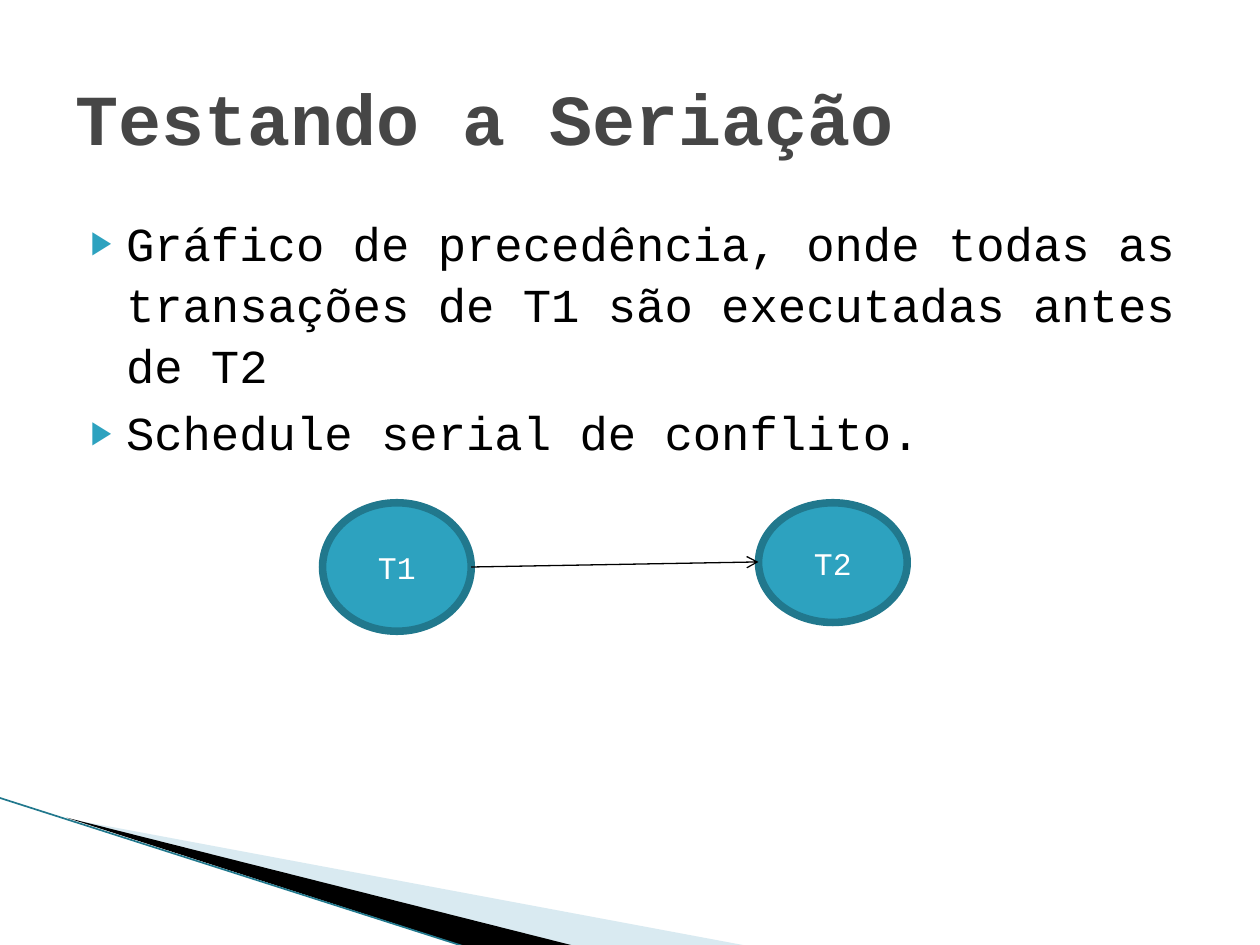
import pptx
import pptx.dml.color
import pptx.enum.shapes
import pptx.enum.text
import pptx.oxml
import pptx.oxml.ns
import pptx.util
from pptx.util import Inches

FONT = "Courier New"
COLORS = {
    "title": "464646",
    "text": "000000",
    "node": "2DA2BF",
    "edge": "21788D",
    "node_text": "FFFFFF",
    "pale": "A0CBDC",
    "black": "000000",
}
BULLETS = [
    "Gráfico de precedência, onde todas as transações de T1 são executadas antes de T2",
    "Schedule serial de conflito.",
]
MIDDLE = pptx.enum.text.MSO_ANCHOR.MIDDLE


def rgb(name):
    return pptx.dml.color.RGBColor.from_string(COLORS[name])


def make_element(tag, **attributes):
    element = pptx.oxml.parse_xml(f"<{tag} {pptx.oxml.ns.nsdecls('a')}/>")
    for key, value in attributes.items():
        element.set(key, str(value))
    return element


def add_span(para, text, size, color, bold=False):
    span = para.add_run()
    span.text = text
    span.font.name = FONT
    span.font.size = pptx.util.Pt(size)
    span.font.bold = bold
    span.font.color.rgb = rgb(color)


def place(box, left, top, width, height):
    box.left, box.top = Inches(left), Inches(top)
    box.width, box.height = Inches(width), Inches(height)


def add_wedge(page, points, color, opacity=None):
    start, *others = [(Inches(x), Inches(y)) for x, y in points]
    builder = page.shapes.build_freeform(*start)
    builder.add_line_segments(others, close=True)
    wedge = builder.convert_to_shape()
    wedge.shadow.inherit = False
    wedge.line.fill.background()
    wedge.fill.solid()
    wedge.fill.fore_color.rgb = rgb(color)
    if opacity is not None:
        fill_color = wedge._element.spPr.find(".//" + pptx.oxml.ns.qn("a:srgbClr"))
        fill_color.append(make_element("a:alpha", val=opacity * 1000))


def add_line(page, start, end, color, width, arrow=False):
    line = page.shapes.add_connector(
        pptx.enum.shapes.MSO_CONNECTOR.STRAIGHT, *map(Inches, start + end))
    line.line.color.rgb = rgb(color)
    line.line.width = pptx.util.Pt(width)
    if arrow:
        line.line._get_or_add_ln().append(make_element("a:tailEnd", type="arrow"))
    line._element.spPr.append(make_element("a:effectLst"))


def add_node(page, label, left, top, width, height):
    node = page.shapes.add_shape(
        pptx.enum.shapes.MSO_SHAPE.OVAL, *map(Inches, (left, top, width, height)))
    node.shadow.inherit = False
    node.fill.solid()
    node.fill.fore_color.rgb = rgb("node")
    node.line.color.rgb = rgb("edge")
    node.line.width = pptx.util.Pt(4.33)
    node.text_frame.vertical_anchor = MIDDLE
    para = node.text_frame.paragraphs[0]
    para.alignment = pptx.enum.text.PP_ALIGN.CENTER
    add_span(para, label, 18, "node_text")


def fill_title(title, text):
    place(title, 0.5, 0.3, 9, 1.25)
    title.text_frame.vertical_anchor = MIDDLE
    para = title.text_frame.paragraphs[0]
    para.alignment = pptx.enum.text.PP_ALIGN.LEFT
    add_span(para, text, 41, "title", bold=True)


def add_bullet(para):
    properties = para._p.get_or_add_pPr()
    properties.set("marL", str(Inches(0.4)))
    properties.set("indent", str(Inches(-0.28)))
    bullet_color = make_element("a:buClr")
    bullet_color.append(make_element("a:srgbClr", val=COLORS["node"]))
    properties.append(bullet_color)
    properties.append(make_element("a:buSzPct", val=68000))
    properties.append(make_element("a:buChar", char="▶"))


def fill_list(body, items):
    place(body, 0.5, 1.62, 9, 4.95)
    frame = body.text_frame
    frame.auto_size = pptx.enum.text.MSO_AUTO_SIZE.NONE
    for index, item in enumerate(items):
        para = frame.add_paragraph() if index else frame.paragraphs[0]
        para.line_spacing = 1.07
        para.space_before = pptx.util.Pt(4)
        add_bullet(para)
        add_span(para, item, 27, "text")


def main():
    deck = pptx.Presentation()
    deck.slide_width, deck.slide_height = Inches(10), Inches(7.5)
    page = deck.slides.add_slide(deck.slide_layouts[1])

    add_wedge(page, [(0.55, 6.5), (5.95, 7.51), (4.56, 7.51)], "pale", opacity=40)
    add_wedge(page, [(0.53, 6.49), (4.57, 7.51), (3.72, 7.52)], "black")
    add_line(page, (-0.01, 6.33), (3.71, 7.52), "edge", 0.95)

    fill_list(page.placeholders[1], BULLETS)
    fill_title(page.shapes.title, "Testando a Seriação")

    add_node(page, "T1", 2.56, 3.99, 1.18, 1.02)
    add_node(page, "T2", 6.02, 3.99, 1.18, 0.95)
    add_line(page, (3.74, 4.5), (6.02, 4.46), "black", 0.75, arrow=True)

    deck.save("out.pptx")


if __name__ == "__main__":
    main()
